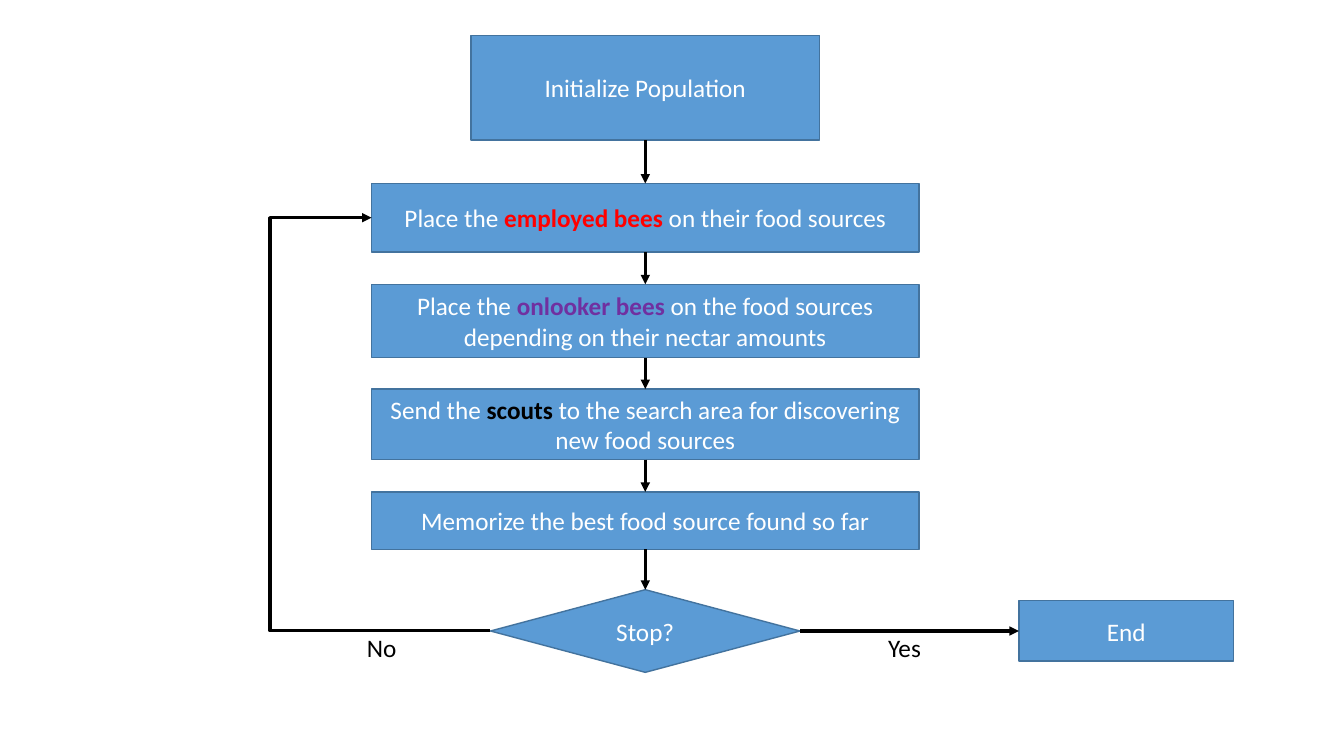
from pptx import Presentation
from pptx import util as u
from pptx.dml.color import RGBColor
from pptx.enum import shapes, text
from pptx.oxml import parse_xml
from pptx.oxml.ns import nsdecls, qn

INK = {"box": "5B9BD5", "edge": "43739E", "white": "FFFFFF",
       "black": "000000", "red": "FF0000", "purple": "7030A0"}
MID = 6.4  # centre line of the main column
TOP, LEFT, BOTTOM, RIGHT = range(4)  # connection sites

deck = Presentation()
deck.slide_width, deck.slide_height = u.Inches(13.33), u.Inches(7.5)
slide = deck.slides.add_slide(deck.slide_layouts[6])


def write(para, runs):
    for words, color, bold in runs:
        run = para.add_run()
        run.text = words
        run.font.name = "Calibri"
        run.font.size = u.Pt(18)
        run.font.bold = bold
        run.font.color.rgb = RGBColor.from_string(INK[color])


def link(start, exit_site, end, entry_site, kind=shapes.MSO_CONNECTOR.STRAIGHT):
    line = slide.shapes.add_connector(kind, 0, 0, 0, 0)
    line.begin_connect(start, exit_site)
    line.end_connect(end, entry_site)
    line.line.color.rgb = RGBColor.from_string(INK["black"])
    line.line.width = u.Pt(2.25)
    line.line._get_or_add_ln().append(
        parse_xml(f'<a:tailEnd {nsdecls("a")} type="triangle"/>'))
    line._element.spPr.append(parse_xml(f'<a:effectLst {nsdecls("a")}/>'))
    return line


# Steps: centre x, top, width, height, shape, runs
rect, diamond = shapes.MSO_SHAPE.RECTANGLE, shapes.MSO_SHAPE.DIAMOND
steps = [
    (MID, 0.35, 3.46, 1.04, rect, [("Initialize Population", "white", False)]),
    (MID, 1.82, 5.43, 0.68, rect, [
        ("Place the ", "white", False), ("employed bees ", "red", True),
        ("on their food sources", "white", False)]),
    (MID, 2.82, 5.43, 0.73, rect, [
        ("Place the ", "white", False), ("onlooker bees", "purple", True),
        (" on the food sources depending on their nectar amounts", "white", False)]),
    (MID, 3.86, 5.43, 0.7, rect, [
        ("Send the ", "white", False), ("scouts", "black", True),
        (" to the search area for discovering new food sources", "white", False)]),
    (MID, 4.88, 5.43, 0.57, rect, [
        ("Memorize the best food source found so far", "white", False)]),
    (MID, 5.85, 3.07, 0.82, diamond, [("Stop?", "white", False)]),
    (11.17, 5.96, 2.13, 0.6, rect, [("End", "white", False)]),
]
nodes = []
for mid, top, wide, high, form, runs in steps:
    node = slide.shapes.add_shape(form, u.Inches(mid - wide / 2), u.Inches(top),
                                  u.Inches(wide), u.Inches(high))
    node.shadow.inherit = False
    node.fill.solid()
    node.fill.fore_color.rgb = RGBColor.from_string(INK["box"])
    node.line.color.rgb = RGBColor.from_string(INK["edge"])
    node.line.width = u.Pt(1)
    frame = node.text_frame
    frame.word_wrap = True
    frame.vertical_anchor = text.MSO_ANCHOR.MIDDLE
    frame.paragraphs[0].alignment = text.PP_ALIGN.CENTER
    write(frame.paragraphs[0], runs)
    nodes.append(node)

# Arrows down the column, then across to the end
*column, end = nodes
for upper, lower in zip(column, column[1:]):
    link(upper, BOTTOM, lower, TOP)
stop = column[-1]
link(stop, RIGHT, end, LEFT)

# Loop back, bending left of the column
loop = link(stop, LEFT, column[1], LEFT, shapes.MSO_CONNECTOR.ELBOW)
bends = loop._element.spPr.find(qn("a:prstGeom")).get_or_add_avLst()
bends.append(parse_xml(f'<a:gd {nsdecls("a")} name="adj1" fmla="val 185300"/>'))

# Branch labels
for words, left, wide in [("No", 3.54, 0.5), ("Yes", 8.71, 0.53)]:
    label = slide.shapes.add_textbox(u.Inches(left), u.Inches(6.22),
                                     u.Inches(wide), u.Inches(0.4))
    label.text_frame.word_wrap = False
    label.text_frame.auto_size = text.MSO_AUTO_SIZE.SHAPE_TO_FIT_TEXT
    write(label.text_frame.paragraphs[0], [(words, "black", False)])

deck.save("out.pptx")
